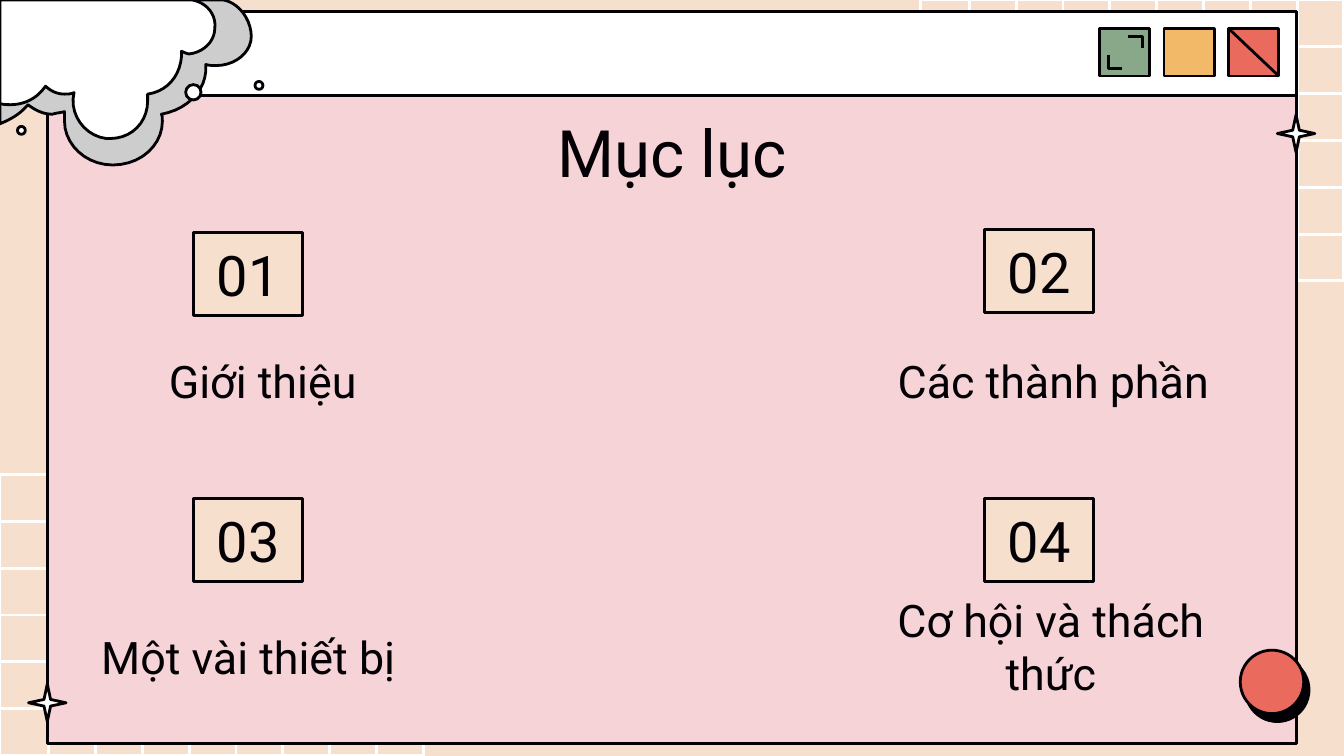
from lxml.etree import SubElement
from pptx import Presentation
from pptx.dml.color import RGBColor
from pptx.enum.shapes import MSO_CONNECTOR, MSO_SHAPE
from pptx.enum.text import MSO_ANCHOR, MSO_AUTO_SIZE, PP_ALIGN
from pptx.oxml.ns import qn
from pptx.util import Cm, Pt

PAGE_WIDTH, PAGE_HEIGHT = 25.4, 14.29
INK, WHITE, CREAM, PINK = "020004", "FFFFFF", "F6DFCD", "F5D3D7"
RED, YELLOW, GREEN, GREY = "EA6B5E", "F2BA68", "88A889", "CDCDCD"

# Number, number box (left, top), caption, caption box (left, top, width)
ENTRIES = [
    ("01", (3.66, 4.39), "Giới thiệu", (1.5, 6.56, 6.93)),
    ("02", (18.61, 4.34), "Các thành phần", (16.44, 6.56, 6.93)),
    ("03", (3.66, 9.43), "Một vài thiết bị", (1.16, 11.76, 7.06)),
    ("04", (18.61, 9.43), "Cơ hội và thách thức", (16.33, 12.08, 7.06)),
]

# Cubic curves of each cloud edge: two control points and an end point
CLOUD_SHADOW = [
    (0.2, 2.26, 0.38, 2.16, 0.53, 1.98), (0.66, 2.08, 0.81, 2.16, 0.99, 2.16),
    (1.09, 2.13, 1.17, 2.13, 1.22, 2.11), (1.22, 2.17, 1.22, 2.23, 1.22, 2.29),
    (1.22, 2.74, 1.63, 3.12, 2.13, 3.12), (2.67, 3.12, 3.07, 2.74, 3.07, 2.29),
    (3.07, 2.24, 3.07, 2.18, 3.05, 2.16), (3.51, 2.08, 3.86, 1.75, 3.89, 1.35),
    (3.89, 1.3, 3.89, 1.27, 3.89, 1.22), (3.96, 1.24, 4.01, 1.24, 4.09, 1.24),
    (4.45, 1.24, 4.75, 0.99, 4.75, 0.69), (4.75, 0.38, 4.52, 0.05, 4.22, 0),
]
CLOUD = [
    (0.08, 1.98, 0.13, 1.98, 0.2, 1.98), (0.48, 1.98, 0.71, 1.85, 0.86, 1.63),
    (0.97, 1.73, 1.09, 1.78, 1.22, 1.78), (1.27, 1.78, 1.35, 1.78, 1.4, 1.75),
    (1.3, 2.16, 1.6, 2.57, 2.01, 2.62), (2.03, 2.62, 2.06, 2.62, 2.08, 2.62),
    (2.49, 2.62, 2.79, 2.31, 2.79, 1.91), (2.79, 1.85, 2.79, 1.83, 2.79, 1.78),
    (3.15, 1.73, 3.4, 1.45, 3.43, 1.07), (3.43, 1.04, 3.43, 1.02, 3.43, 0.97),
    (3.48, 0.99, 3.53, 1.02, 3.58, 1.02), (3.84, 0.99, 4.06, 0.79, 4.06, 0.53),
    (4.09, 0.28, 3.91, 0.05, 3.63, 0),
]


def colour(value):
    return RGBColor.from_string(value)


def paint(shape, fill, line=INK):
    shape.shadow.inherit = False
    if fill:
        shape.fill.solid()
        shape.fill.fore_color.rgb = colour(fill)
    else:
        shape.fill.background()
    shape.line.color.rgb = colour(line)
    shape.line.width = Pt(1.5)


def add_preset(page, preset, left, top, width, height, fill, line=INK):
    shape = page.shapes.add_shape(preset, Cm(left), Cm(top), Cm(width), Cm(height))
    paint(shape, fill, line)
    return shape


def add_line(page, start, end, line):
    connector = page.shapes.add_connector(
        MSO_CONNECTOR.STRAIGHT, *(Cm(value) for value in (*start, *end)))
    connector.line.color.rgb = colour(line)
    connector.line.width = Pt(1.5)
    SubElement(connector.element.spPr, qn("a:effectLst"))


def add_outline(page, points, fill=None, close=False):
    corners = [(Cm(x), Cm(y)) for x, y in points]
    builder = page.shapes.build_freeform(*corners[0])
    builder.add_line_segments(corners[1:], close=close)
    paint(builder.convert_to_shape(), fill)


def trace_curves(start, curves, steps=10):
    points = [start]
    for x1, y1, x2, y2, x3, y3 in curves:
        x0, y0 = points[-1]
        for step in range(1, steps + 1):
            t = step / steps
            u = 1 - t
            weights = (u ** 3, 3 * u * u * t, 3 * u * t * t, t ** 3)
            points.append((sum(w * x for w, x in zip(weights, (x0, x1, x2, x3))),
                           sum(w * y for w, y in zip(weights, (y0, y1, y2, y3)))))
    return points


def add_cloud(page, edge_height, curves, fill):
    edge = trace_curves((0, edge_height), curves)
    add_outline(page, [(0, 0)] + edge, fill, close=True)


def add_grid(page, left, top, width, columns, with_rows):
    side, rows = 5.31, 6
    pitch = side / rows
    right, bottom = left + width, top + side
    add_preset(page, MSO_SHAPE.RECTANGLE, left, top, width, side, None, WHITE)
    for column in range(1, columns):
        x = right - column * pitch
        add_line(page, (x, top), (x, bottom), WHITE)
    if with_rows:
        for row in range(1, rows):
            y = top + row * pitch
            add_line(page, (left, y), (right, y), WHITE)


def write(shape, text, size, anchor):
    frame = shape.text_frame
    frame.text = text
    frame.word_wrap = True
    frame.auto_size = MSO_AUTO_SIZE.NONE
    frame.vertical_anchor = anchor
    frame.margin_left = frame.margin_right = Cm(0.25)
    frame.margin_top = frame.margin_bottom = Cm(0.25)
    para = frame.paragraphs[0]
    para.alignment = PP_ALIGN.CENTER
    para.space_before = Pt(0)
    para.line_spacing = 1.0
    para.font.name = "Roboto"
    para.font.size = Pt(size)
    para.font.bold = False
    para.font.color.rgb = colour(INK)
    return para


def fill_placeholder(holder, left, top, width, height, text, size, anchor):
    holder.left, holder.top = Cm(left), Cm(top)
    holder.width, holder.height = Cm(width), Cm(height)
    properties = write(holder, text, size, anchor)._p.get_or_add_pPr()
    properties.set("marL", "0")
    properties.set("indent", "0")
    SubElement(properties, qn("a:buNone"))
    # Bring the text in front of the decoration
    holder.element.getparent().append(holder.element)


def add_window(page):
    add_preset(page, MSO_SHAPE.RECTANGLE, 0.9, 0.36, 23.6, 13.7, PINK)
    add_preset(page, MSO_SHAPE.RECTANGLE, 0.9, 0.22, 23.6, 1.58, WHITE)
    for index, fill in enumerate((GREEN, YELLOW, RED)):
        add_preset(page, MSO_SHAPE.RECTANGLE, 20.78 + index * 1.22, 0.54, 0.95, 0.9, fill)
    add_line(page, (23.22, 0.54), (24.17, 1.44), INK)
    add_outline(page, [(21.31, 0.69), (21.59, 0.69), (21.59, 0.91)])
    add_outline(page, [(20.95, 1.04), (20.95, 1.3), (21.21, 1.3)])


def add_ornaments(page):
    for left, top in ((0.54, 12.93), (24.14, 2.17)):
        star = add_preset(page, MSO_SHAPE.STAR_4_POINT, left, top, 0.71, 0.71, WHITE)
        star.adjustments[0] = 0.125
    add_cloud(page, 2.34, CLOUD_SHADOW, GREY)
    add_cloud(page, 1.96, CLOUD, WHITE)
    for left, top, size, fill in (
            (4.82, 1.54, 0.15, WHITE), (0.33, 2.39, 0.15, WHITE),
            (3.51, 1.6, 0.29, WHITE), (23.54, 12.44, 1.2, INK),
            (23.44, 12.29, 1.2, RED)):
        add_preset(page, MSO_SHAPE.OVAL, left, top, size, size, fill)


def main():
    deck = Presentation()
    deck.slide_width, deck.slide_height = Cm(PAGE_WIDTH), Cm(PAGE_HEIGHT)
    # The comparison layout holds a title and four bodies
    page = deck.slides.add_slide(deck.slide_layouts[4])
    title, *captions = list(page.placeholders)
    page.background.fill.solid()
    page.background.fill.fore_color.rgb = colour(CREAM)

    # Decoration: each corner grid has a wide and a narrow block
    add_grid(page, 2.69, 8.97, 5.31, 6, False)
    add_grid(page, 0, 8.97, 2.69, 3, True)
    add_grid(page, 20.09, 0, 5.31, 6, True)
    add_grid(page, 17.4, 0, 2.69, 3, False)
    add_window(page)
    add_ornaments(page)

    # Title and contents
    fill_placeholder(title, 2, 1.87, 21.41, 1.6, "Mục lục", 35, MSO_ANCHOR.TOP)
    for holder, (number, corner, caption, (left, top, width)) in zip(captions, ENTRIES):
        box = add_preset(page, MSO_SHAPE.RECTANGLE, *corner, 2.06, 1.57, CREAM)
        write(box, number, 30, MSO_ANCHOR.MIDDLE)
        fill_placeholder(holder, left, top, width, 1.4, caption, 24, MSO_ANCHOR.BOTTOM)

    deck.save("out.pptx")


main()
